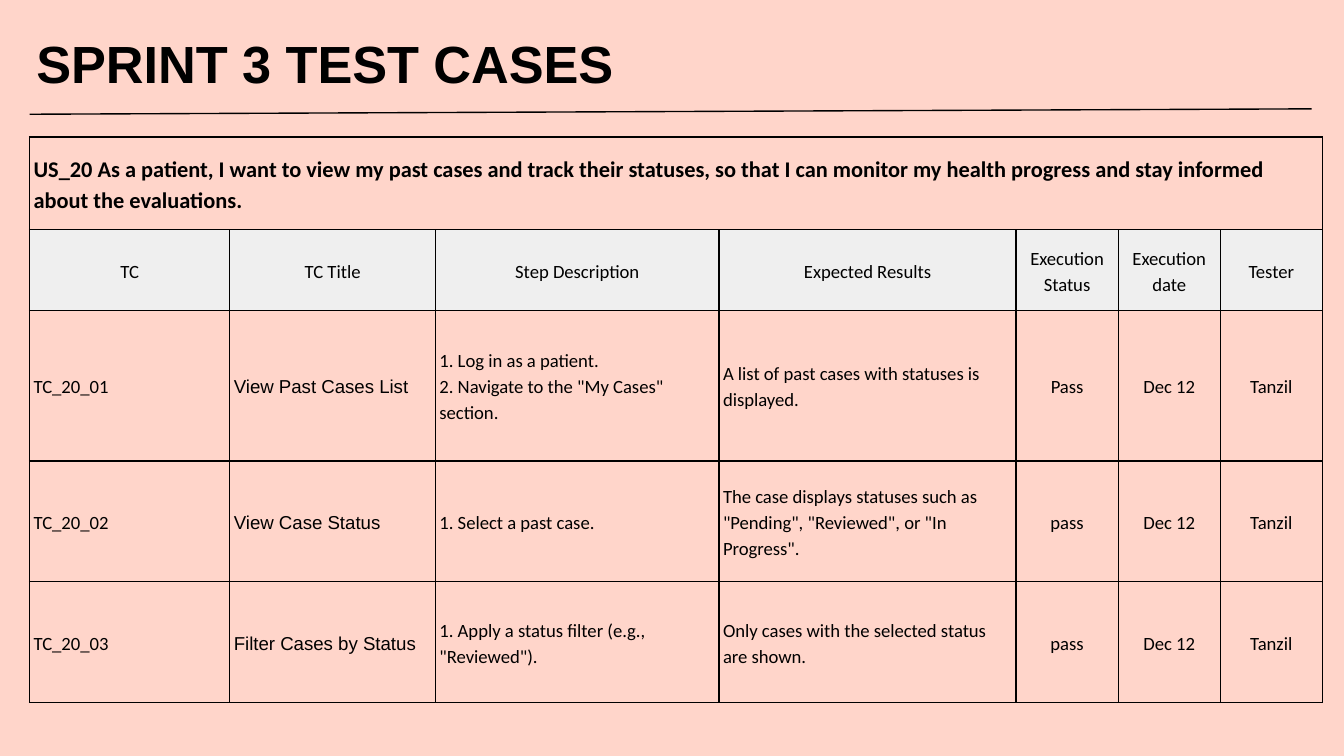
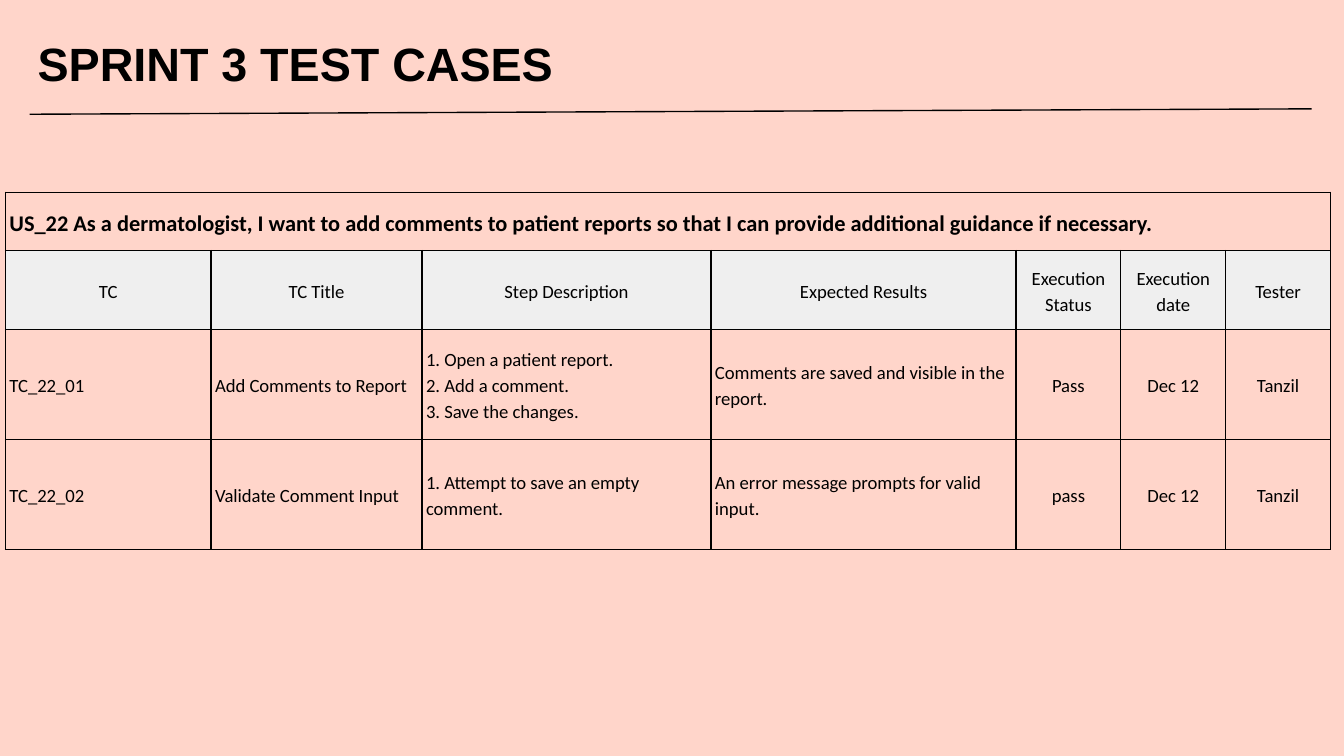
import pptx
import pptx.util
import pptx.dml.color
import pptx.enum.shapes
import pptx.enum.text
import pptx.oxml
import pptx.oxml.ns

Inches = pptx.util.Inches
Pt = pptx.util.Pt
ALIGN = pptx.enum.text.PP_ALIGN
ANCHOR = pptx.enum.text.MSO_ANCHOR

HUES = {"back": "FFD5CA", "ink": "000000", "head": "EFEFEF"}
HEADS = ["TC", "TC Title", "Step Description", "Expected Results",
         "Execution Status", "Execution date", "Tester"]
LEFT_COLS = 4
TITLE = "SPRINT 3 TEST CASES"

SLIDES = [
    {
        "title": (0.17, 0.14, 8.81, 0.65), "size": 28,
        "grid": (0.22, 1.02),
        "cols": [1.49, 1.53, 2.11, 2.21] + [0.76] * 3,
        "rows": [0.69, 0.6, 1.12, 0.9, 0.9],
        "font": "Arial",
        "story": "US_20 As a patient, I want to view my past cases and track their "
                 "statuses, so that I can monitor my health progress and stay "
                 "informed about the evaluations.",
        "cases": [
            ("TC_20_01", "View Past Cases List",
             "1. Log in as a patient.\n2. Navigate to the \"My Cases\" section.",
             "A list of past cases with statuses is displayed.", "Pass"),
            ("TC_20_02", "View Case Status", "1. Select a past case.",
             "The case displays statuses such as \"Pending\", \"Reviewed\", "
             "or \"In Progress\".", "pass"),
            ("TC_20_03", "Filter Cases by Status",
             "1. Apply a status filter (e.g., \"Reviewed\").",
             "Only cases with the selected status are shown.", "pass"),
        ],
    },
    {
        "title": (0.18, 0.17, 8.82, 0.6), "size": 25,
        "grid": (0.04, 1.43),
        "cols": [1.53, 1.57, 2.15, 2.27] + [0.78] * 3,
        "rows": [0.42, 0.56, 0.82, 0.82],
        "font": "Calibri",
        "story": "US_22 As a dermatologist, I want to add comments to patient reports "
                 "so that I can provide additional guidance if necessary.",
        "cases": [
            ("TC_22_01", "Add Comments to Report",
             "1. Open a patient report.\n2. Add a comment.\n3. Save the changes.",
             "Comments are saved and visible in the report.", "Pass"),
            ("TC_22_02", "Validate Comment Input",
             "1. Attempt to save an empty comment.",
             "An error message prompts for valid input.", "pass"),
        ],
    },
]


def tint(name):
    """Return the named colour."""
    return pptx.dml.color.RGBColor.from_string(HUES[name])


def write(frame, text, size=10, font="Calibri", bold=False, align=ALIGN.LEFT, lead=1.15):
    """Fill a text frame, one paragraph a line."""
    frame.text = text
    for para in frame.paragraphs:
        para.alignment = align
        para.line_spacing = lead
        for run in para.runs:
            run.font.size = Pt(size)
            run.font.name = font
            run.font.bold = bold
            run.font.color.rgb = tint("ink")


def edge(cell):
    """Draw thin lines on all four sides of a cell."""
    props = cell._tc.get_or_add_tcPr()
    for side in ("lnL", "lnR", "lnT", "lnB"):
        props.append(pptx.oxml.parse_xml(
            f'<a:{side} {pptx.oxml.ns.nsdecls("a")} w="{Pt(0.75)}"><a:solidFill>'
            f'<a:srgbClr val="{HUES["ink"]}"/></a:solidFill></a:{side}>'))


def style(cell, fill=None):
    """Set the edges, margins and fill of a cell."""
    edge(cell)
    cell.vertical_anchor = ANCHOR.MIDDLE
    cell.margin_left = cell.margin_right = Inches(0.03)
    cell.margin_top = cell.margin_bottom = Inches(0.1)
    if fill:
        cell.fill.solid()
        cell.fill.fore_color.rgb = tint(fill)
    else:
        cell.fill.background()


def banner(slide, box, size):
    """Place the title and the rule below it."""
    title = slide.shapes.title
    title.left, title.top, title.width, title.height = map(Inches, box)
    frame = title.text_frame
    frame.word_wrap = True
    frame.vertical_anchor = ANCHOR.MIDDLE
    frame.margin_left = frame.margin_right = Inches(0.1)
    frame.margin_top = frame.margin_bottom = Inches(0.1)
    write(frame, TITLE, size=size, font="Arial", bold=True, lead=1)
    rule = slide.shapes.add_connector(
        pptx.enum.shapes.MSO_CONNECTOR.STRAIGHT,
        *map(Inches, (0.22, 0.85, 9.76, 0.81)))
    rule.line.color.rgb = tint("ink")
    rule.line.width = Pt(0.75)
    props = rule._element.spPr
    props.append(pptx.oxml.parse_xml(f'<a:effectLst {pptx.oxml.ns.nsdecls("a")}/>'))


def grid(slide, spot, cols, rows, story, cases, font):
    """Build the table of test cases for one user story."""
    box = (*spot, sum(cols), sum(rows))
    table = slide.shapes.add_table(len(rows), len(cols), *map(Inches, box)).table
    table.first_row = table.horz_banding = False
    for col, width in zip(table.columns, cols):
        col.width = Inches(width)
    for row, height in zip(table.rows, rows):
        row.height = Inches(height)
    for cell in table.rows[0].cells:
        style(cell)
    table.cell(0, 0).merge(table.cell(0, len(cols) - 1))
    write(table.cell(0, 0).text_frame, story, size=12, bold=True)
    lines = [HEADS] + [(*case, "Dec 12", "Tanzil") for case in cases]
    for r, line in enumerate(lines, 1):
        head = r == 1
        for c, text in enumerate(line):
            cell = table.cell(r, c)
            style(cell, "head" if head else None)
            write(cell.text_frame, text,
                  font=font if c == 1 and not head else "Calibri",
                  align=ALIGN.CENTER if head or c >= LEFT_COLS else ALIGN.LEFT)


def page(deck, data):
    """Add one slide of test cases."""
    slide = deck.slides.add_slide(deck.slide_layouts[5])
    slide.background.fill.solid()
    slide.background.fill.fore_color.rgb = tint("back")
    banner(slide, data["title"], data["size"])
    grid(slide, data["grid"], data["cols"], data["rows"],
         data["story"], data["cases"], data["font"])


def main():
    """Build and save the deck."""
    deck = pptx.Presentation()
    deck.slide_width = Inches(10)
    deck.slide_height = deck.slide_width * 9 // 16
    for data in SLIDES:
        page(deck, data)
    deck.save("out.pptx")


if __name__ == "__main__":
    main()
